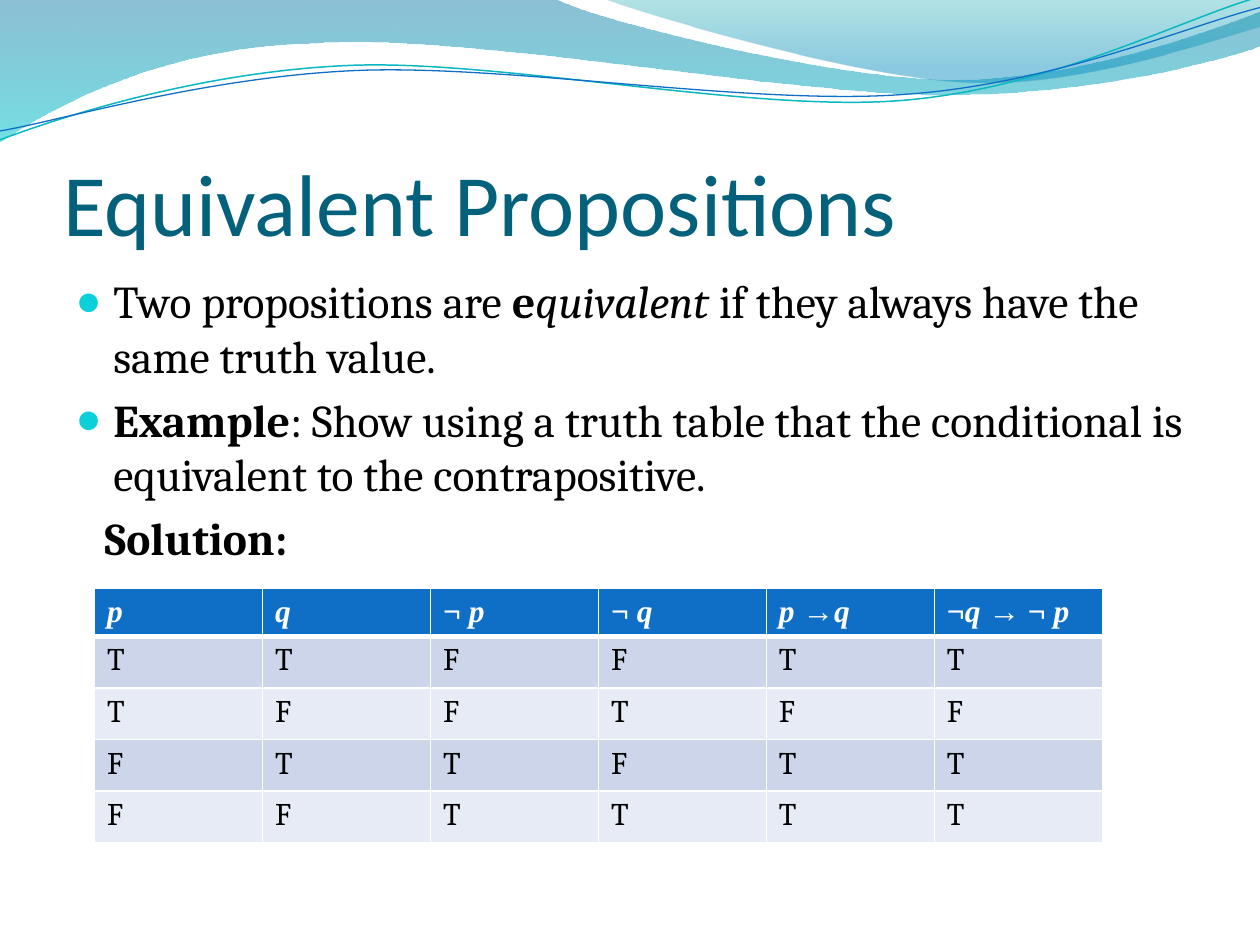
from lxml.etree import SubElement
from pptx import Presentation
from pptx.dml.color import RGBColor
from pptx.enum.text import MSO_ANCHOR, MSO_AUTO_SIZE, PP_ALIGN
from pptx.oxml.ns import qn
from pptx.util import Inches, Pt

COLORS = {
    "title": "04617B", "text": "000000", "bullet": "0BD0D9",
    "header": "0F6FC6", "header_text": "FFFFFF", "border": "FFFFFF",
    "odd_row": "CCD5EA", "even_row": "E7EBF5",
    "teal_line": "0AB8BF", "blue_line": "0F6FC6",
    "wave_top": "0074A1", "wave_bottom": "00C6CF",
    "crest_top": "00A1A9", "crest_bottom": "008BBF",
}

# Outlines in inches: a start point, then lines (one point) and cubic curves (three points).
WAVE = [[(0, 0)], [(4.4, -0.01)],
        [(4.76, 0.17), (6.64, 0.63), (7.58, 0.63)],
        [(8.53, 0.63), (9.58, 0.26), (10, 0.09)],
        [(10.01, 0.36)],
        [(9.83, 0.44), (8.7, 0.76), (7.46, 0.75)],
        [(6.22, 0.75), (3.82, 0.28), (2.57, 0.34)],
        [(1.29, 0.36), (0.46, 0.83), (-0.01, 1.13)]]
CREST = [[(4.79, -0.01)],
         [(5.09, 0.11), (6.82, 0.62), (7.69, 0.65)],
         [(8.56, 0.69), (9.61, 0.32), (10, 0.21)],
         [(10, 0)]]
TEAL_LINE = [[(0, 1.11)],
             [(0.48, 0.93), (1.58, 0.57), (2.77, 0.52)],
             [(3.95, 0.47), (5.93, 0.89), (7.13, 0.8)],
             [(8.33, 0.71), (9.38, 0.15), (9.98, -0.02)]]
BLUE_LINE = [[(0, 1.04)],
             [(0.47, 0.96), (1.64, 0.61), (2.83, 0.56)],
             [(4.03, 0.51), (5.97, 0.84), (7.17, 0.75)],
             [(8.36, 0.67), (9.41, 0.21), (10, 0.06)]]

# Paragraphs are lists of (text, style); style holds "b" for bold and "i" for italic.
BODY = [
    [("Two propositions are ", ""), ("e", "b"), ("quivalent ", "i"),
     ("if they always have the same truth value.", "")],
    [("Example", "b"),
     (": Show using a truth table that the conditional is equivalent to the contrapositive.", "")],
    [("Solution:", "b")],
]
HEADER = [
    [("p", "bi")],
    [("q", "bi")],
    [("¬ ", "b"), ("p", "bi")],
    [("¬ ", "b"), ("q", "bi")],
    [("p ", "bi"), ("→", "b"), ("q", "bi")],
    [("¬", "b"), ("q ", "bi"), ("→ ¬ ", "b"), ("p", "bi")],
]
TRUTH_ROWS = ["TTFFTT", "TFFTFF", "FTTFTT", "FFTTTT"]


def rgb(name):
    return RGBColor.from_string(COLORS[name])


def place(shape, left, top, width, height):
    shape.left, shape.top = Inches(left), Inches(top)
    shape.width, shape.height = Inches(width), Inches(height)


def add_runs(paragraph, runs, font_name, size, color):
    for text, style in runs:
        run = paragraph.add_run()
        run.text = text
        font = run.font
        font.name, font.size = font_name, Pt(size)
        font.bold, font.italic = "b" in style, "i" in style
        font.color.rgb = rgb(color)


def bend_segments(shape, segments):
    """Turn the straight segments that have control points into cubic curves."""
    lines = list(shape.element.iter(qn("a:lnTo")))
    for line, points in zip(lines, segments):
        if len(points) == 1:
            continue
        curve = line.getparent().makeelement(qn("a:cubicBezTo"))
        for x, y in points:
            SubElement(curve, qn("a:pt"), x=str(Inches(x) - shape.left),
                       y=str(Inches(y) - shape.top))
        line.getparent().replace(line, curve)


def add_outline(slide, outline, close):
    """Add a curved freeform behind the title."""
    start, *ends = [(Inches(x), Inches(y)) for x, y in (points[-1] for points in outline)]
    builder = slide.shapes.build_freeform(*start)
    builder.add_line_segments(ends, close=close)
    shape = builder.convert_to_shape()
    bend_segments(shape, outline[1:])
    shape.shadow.inherit = False
    slide.shapes.title.element.addprevious(shape.element)
    return shape


def add_wave(slide, outline, stops):
    """Add a wave with a downward gradient; stops are (position, color, opacity %)."""
    shape = add_outline(slide, outline, close=True)
    shape.line.fill.background()
    shape.fill.gradient()
    shape.fill.gradient_angle = 270
    for stop, (position, color, _) in zip(shape.fill.gradient_stops, stops):
        stop.position = position
        stop.color.rgb = rgb(color)
    for element, (_, _, opacity) in zip(shape.element.iter(qn("a:srgbClr")), stops):
        SubElement(element, qn("a:alpha"), val=str(opacity * 1000))


def add_wave_line(slide, outline, color, width):
    shape = add_outline(slide, outline, close=False)
    shape.fill.background()
    shape.line.color.rgb = rgb(color)
    shape.line.width = Pt(width)


def set_bullet(paragraph, bulleted):
    properties = paragraph._p.get_or_add_pPr()
    indent = 0.3 if bulleted else 0
    properties.set("marL", str(Inches(indent or 0.23)))
    properties.set("indent", str(-Inches(indent)))
    if not bulleted:
        SubElement(properties, qn("a:buNone"))
        return
    color = SubElement(properties, qn("a:buClr"))
    SubElement(color, qn("a:srgbClr"), val=COLORS["bullet"])
    SubElement(properties, qn("a:buSzPct"), val="95000")
    SubElement(properties, qn("a:buChar"), char="●")


def fill_title(title):
    place(title, 0.5, 0.77, 9, 1.25)
    frame = title.text_frame
    frame.auto_size = MSO_AUTO_SIZE.NONE
    frame.vertical_anchor = MSO_ANCHOR.BOTTOM
    frame.margin_left = frame.margin_right = frame.margin_bottom = 0
    paragraph = frame.paragraphs[0]
    paragraph.alignment = PP_ALIGN.LEFT
    add_runs(paragraph, [("Equivalent Propositions", "")], "Calibri", 50, "title")


def fill_body(body):
    place(body, 0.5, 2.12, 9, 4.8)
    frame = body.text_frame
    frame.auto_size = MSO_AUTO_SIZE.NONE
    for index, runs in enumerate(BODY):
        paragraph = frame.add_paragraph() if index else frame.paragraphs[0]
        set_bullet(paragraph, bulleted=index < len(BODY) - 1)
        add_runs(paragraph, runs, "Cambria", 26, "text")


def set_borders(cell, bottom):
    properties = cell._tc.get_or_add_tcPr()
    for side, width in (("L", 1), ("R", 1), ("T", 1), ("B", bottom)):
        line = SubElement(properties, qn(f"a:ln{side}"), w=str(Pt(width)))
        fill = SubElement(line, qn("a:solidFill"))
        SubElement(fill, qn("a:srgbClr"), val=COLORS["border"])


def fill_cell(cell, runs, fill, font_name, color):
    cell.fill.solid()
    cell.fill.fore_color.rgb = rgb(fill)
    add_runs(cell.text_frame.paragraphs[0], runs, font_name, 18, color)


def add_truth_table(slide):
    frame = slide.shapes.add_table(len(TRUTH_ROWS) + 1, len(HEADER),
                                   Inches(0.75), Inches(4.67), Inches(8), Inches(2.02))
    table = frame.table
    for row in table.rows:
        row.height = Inches(0.41)
    table.rows[0].height = Inches(0.38)
    for column, runs in enumerate(HEADER):
        cell = table.cell(0, column)
        set_borders(cell, bottom=3)
        fill_cell(cell, runs, "header", "Times New Roman", "header_text")
    for row, values in enumerate(TRUTH_ROWS, start=1):
        fill = "odd_row" if row % 2 else "even_row"
        for column, value in enumerate(values):
            fill_cell(table.cell(row, column), [(value, "")], fill, "Cambria", "text")


def main():
    presentation = Presentation()
    presentation.slide_width, presentation.slide_height = Inches(10), Inches(7.5)
    slide = presentation.slides.add_slide(presentation.slide_layouts[1])
    add_wave(slide, WAVE, [(0, "wave_top", 45), (1, "wave_bottom", 55)])
    add_wave(slide, CREST, [(0, "crest_top", 30), (0.8, "crest_bottom", 45)])
    add_wave_line(slide, TEAL_LINE, "teal_line", 0.85)
    add_wave_line(slide, BLUE_LINE, "blue_line", 0.75)
    fill_title(slide.shapes.title)
    fill_body(slide.placeholders[1])
    add_truth_table(slide)
    presentation.save("out.pptx")


if __name__ == "__main__":
    main()
